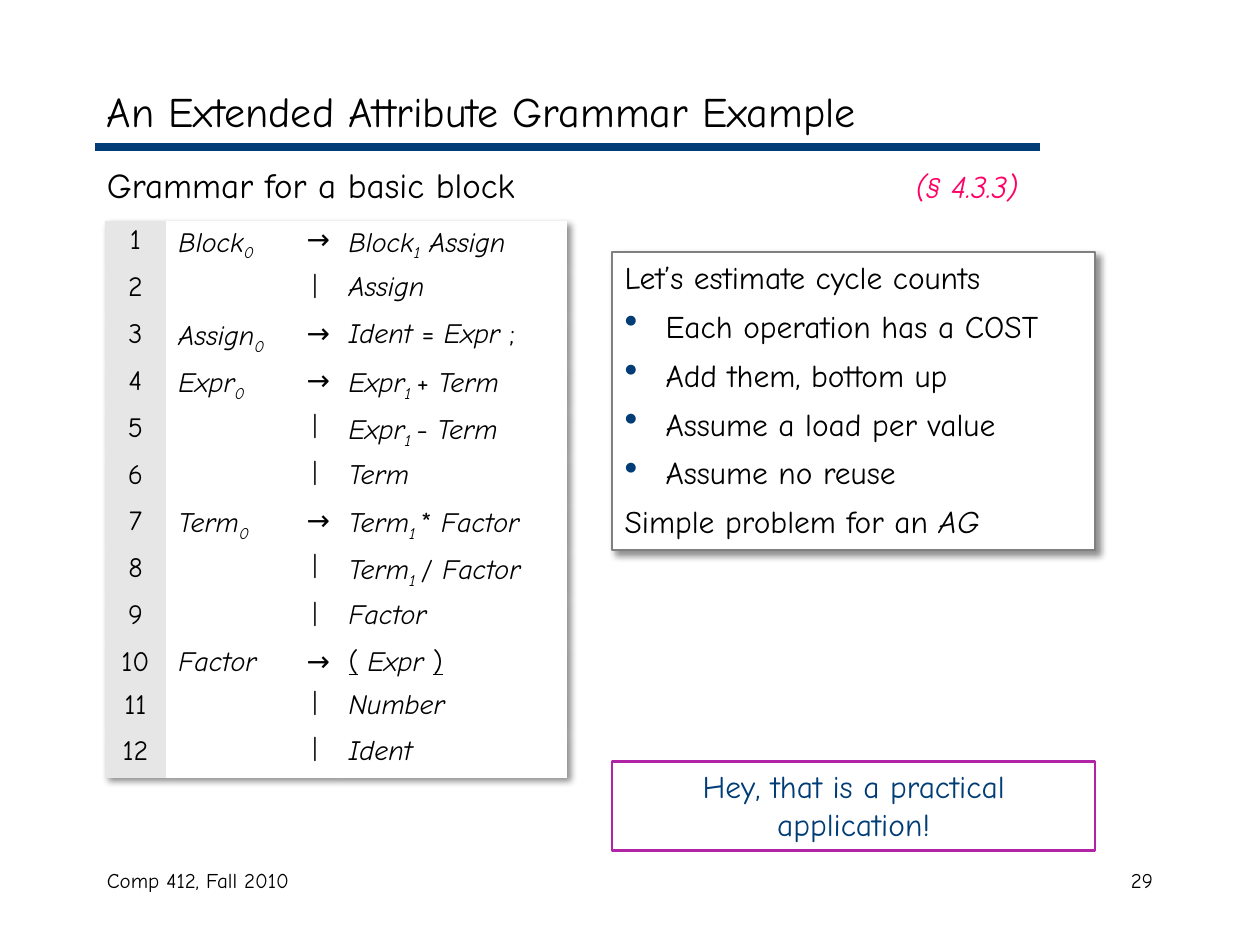
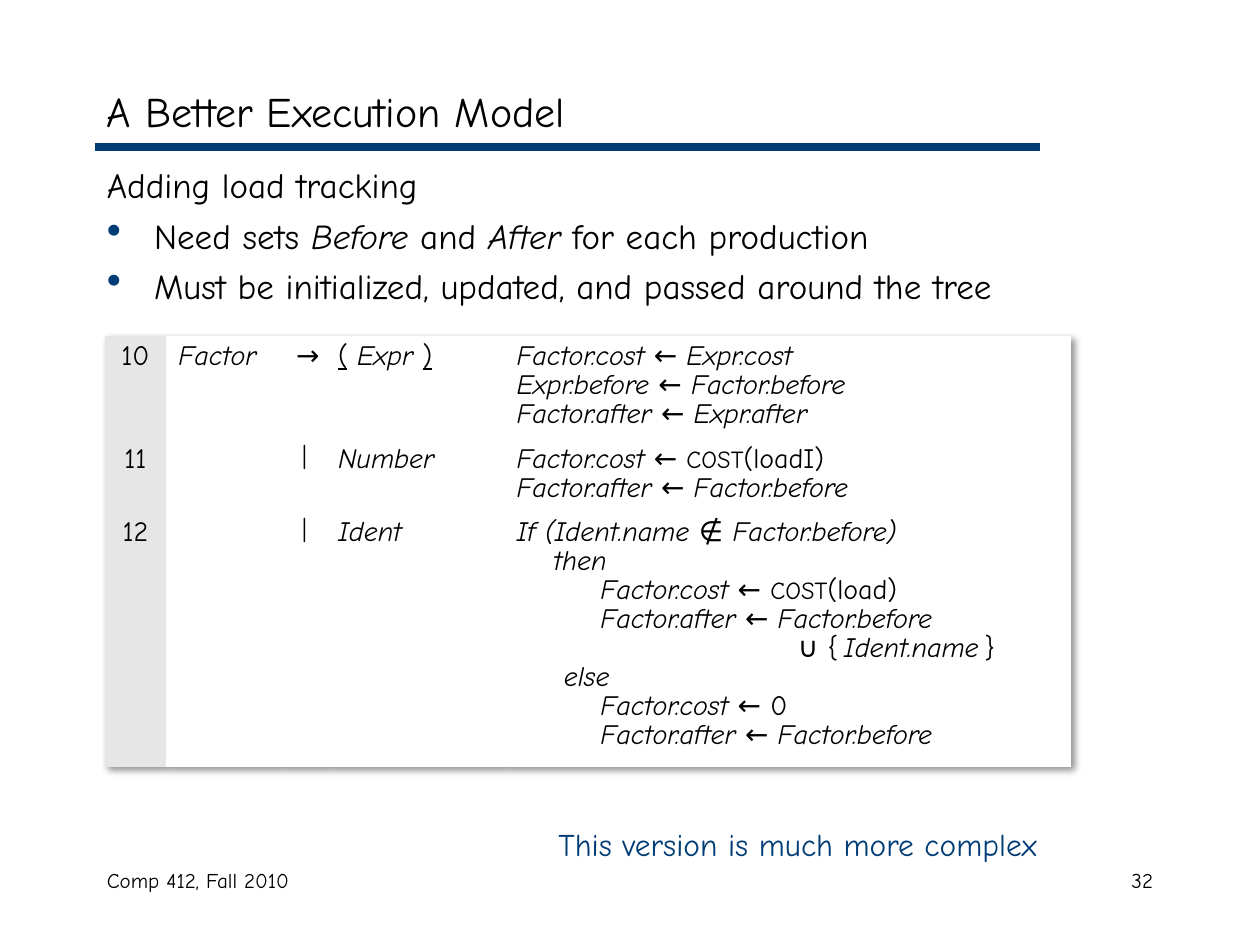
"""Build two slides on attribute grammars: the cost example and its load tracking."""
from lxml import etree
from pptx import Presentation
from pptx.dml.color import RGBColor as Rgb
from pptx.enum.shapes import MSO_CONNECTOR as Link, MSO_SHAPE as Form
from pptx.enum.text import MSO_ANCHOR as Anchor, PP_ALIGN as Align
from pptx.oxml import parse_xml
from pptx.oxml.ns import nsdecls, qn
from pptx.util import Inches, Pt

INK = Rgb(0x00, 0x00, 0x00)
NAVY = Rgb(0x00, 0x3C, 0x75)
PINK = Rgb(0xFF, 0x00, 0x65)
PLUM = Rgb(0xB0, 0x25, 0xA6)
GRAY = Rgb(0x80, 0x80, 0x80)
PALE = Rgb(0xE6, 0xE6, 0xE6)
WHITE = Rgb(0xFF, 0xFF, 0xFF)
FACE = "Comic Neue"
GRID = Inches(1) / 12
PLAIN = "{2D5ABB26-0587-4C30-8999-92F81FD0307C}"
LOOK = {
    "i": {"italic": True},
    "u": {"underline": True},
    "c": {"size": Pt(14)},
    "t": {"size": Pt(10)},
    "p": {"size": Pt(18), "italic": True},
}
SHADE = (
    f'<a:effectLst {nsdecls("a")}><a:outerShdw blurRad="50800" dist="38100" dir="2700000" '
    'algn="tl" rotWithShape="0"><a:srgbClr val="000000"><a:alpha val="43000"/></a:srgbClr>'
    "</a:outerShdw></a:effectLst>"
)
BULLET = (
    f'<a:buClr {nsdecls("a")}><a:srgbClr val="{NAVY}"/></a:buClr>',
    f'<a:buSzPct {nsdecls("a")} val="120000"/>',
    f'<a:buChar {nsdecls("a")} char="•"/>',
)
TAB = f'<a:tabLst {nsdecls("a")}><a:tab pos="{int(77 * GRID)}" algn="l"/></a:tabLst>'


def fill(frame, lines, size, tone=INK, hang=0, **form):
    """Write lines of "codes:text" runs parted by ~; a tuple adds an indent."""
    frame.word_wrap = True
    for num, line in enumerate(lines):
        dent, text = line if isinstance(line, tuple) else (0, line)
        par = frame.add_paragraph() if num else frame.paragraphs[0]
        props = par._p.get_or_add_pPr()
        if text.startswith("•"):
            text = text[1:]
            props.set("marL", str(int(hang * GRID)))
            props.set("indent", str(-int(hang * GRID)))
            for mark in BULLET:
                props.append(parse_xml(mark))
        elif dent:
            props.set("marL", str(int(dent * GRID)))
        if "\t" in text:
            props.append(parse_xml(TAB))
        for key, val in form.items():
            if num or key != "space_before":
                setattr(par, key, val)
        if not text:
            end = etree.SubElement(par._p, qn("a:endParaRPr"), sz=str(size * 100))
            etree.SubElement(end, qn("a:latin"), typeface=FACE)
            continue
        for piece in text.split("~"):
            codes, _, words = piece.rpartition(":")
            run = par.add_run()
            run.text = words
            look = {"name": FACE, "size": Pt(size)}
            for code in codes:
                look.update(LOOK.get(code, {}))
            for key, val in look.items():
                setattr(run.font, key, val)
            run.font.color.rgb = PINK if "p" in codes else tone
            if "s" in codes:
                run._r.get_or_add_rPr().set("baseline", "-25000")


def place(*spot):
    """Turn grid units into lengths."""
    return [int(unit * GRID) for unit in spot]


PAREN = "u:(~ ~i:Expr ~u:)"
AFTER = "i:Factor.after ~← ~i:Factor.before"
PAGES = [
    {
        "title": "An Extended Attribute Grammar Example",
        "num": "29",
        "body": ["Grammar for a basic block~p:\t(§ 4.3.3)"],
        "top": 21,
        "cols": [5.8, 12.2, 4, 22],
        "rows": [4.42] * 9 + [4.1] + [4.42] * 2,
        "first": 1,
        "rules": [
            ["i:Block~is:0", "i:Block~is:1~i: Assign"],
            ["", "i:Assign"],
            ["i:Assign~is:0", "i:Ident ~= ~i:Expr ~;"],
            ["i:Expr~is:0", "i:Expr~is:1 ~+ ~i:Term"],
            ["", "i:Expr~is:1 ~-~i: Term"],
            ["", "i:Term"],
            ["i:Term~is:0", "i:Term~is:1 ~* ~i:Factor"],
            ["", "i:Term~is:1 ~/ ~i:Factor"],
            ["", "i:Factor"],
            ["i:Factor", PAREN],
            ["", "i:Number"],
            ["", "i:Ident"],
        ],
        "boxes": [
            ((58.3, 24, 46, 28.4), GRAY, INK, Align.LEFT, [
                "Let’s estimate cycle counts",
                "•Each operation has a COST",
                "•Add them, bottom up",
                "•Assume a load per value",
                "•Assume no reuse",
                "Simple problem for an ~i:AG",
            ]),
            ((58.3, 72.5, 46, 8.5), PLUM, NAVY, Align.CENTER,
             ["Hey, that is a practical application!"]),
        ],
    },
    {
        "title": "A Better Execution Model",
        "num": "32",
        "body": [
            "Adding load tracking",
            "•Need sets ~i:Before~ and ~i:After ~for each production",
            "•Must be initialized, updated, and passed around the tree",
        ],
        "top": 32,
        "cols": [5.8, 11.2, 4, 17, 54],
        "rows": [9.4, 6.75, 23.1],
        "first": 10,
        "rules": [
            ["i:Factor", PAREN, [
                "i:Factor.cost ~← ~i:Expr.cost",
                "i:Expr.before ~← ~i:Factor.before",
                "i:Factor.after ~← ~i:Expr.after",
            ]],
            ["", "i:Number", ["i:Factor.cost ~← ~c:COST~(loadI)", AFTER]],
            ["", "i:Ident", [
                "i:If (Ident.name ~∉ ~i:Factor.before)",
                (3.5, "i:then"),
                (8, "i:Factor.cost ~← ~c:COST~(load)"),
                (8, AFTER),
                (26.8, "∪ {~it: ~i:Ident.name~it: ~}"),
                (4.5, "i:else"),
                (8, "i:Factor.cost ~← 0"),
                (8, AFTER),
            ]],
        ],
        "boxes": [
            ((52, 78, 53, 4.8), None, NAVY, Align.LEFT,
             ["This version is much more complex"]),
        ],
    },
]

deck = Presentation()
deck.slide_width, deck.slide_height = place(120, 90)

for page in PAGES:
    slide = deck.slides.add_slide(deck.slide_layouts[6])
    shapes = slide.shapes

    bar = shapes.add_connector(Link.STRAIGHT, *place(9, 14, 99, 14))
    bar.line.color.rgb = NAVY
    bar.line.width = Pt(4.5)
    etree.SubElement(bar._element.spPr, qn("a:effectLst"))

    for spot, lines, size, side in [
        ((9, 7, 102, 7), [page["title"]], 24, Align.LEFT),
        ((9, 15, 102, 65), page["body"], 20, Align.LEFT),
        ((9, 82, 38, 6), ["Comp 412, Fall 2010"], 12, Align.LEFT),
        ((86, 82, 25, 6), [page["num"]], 12, Align.RIGHT),
    ]:
        frame = shapes.add_textbox(*place(*spot)).text_frame
        frame.vertical_anchor = Anchor.MIDDLE if size == 24 else Anchor.TOP
        fill(frame, lines, size, hang=4.5, alignment=side, space_before=Pt(4.8))

    cols, rows = page["cols"], page["rows"]
    spot = place(10, page["top"], sum(cols), sum(rows))
    table = shapes.add_table(len(rows), len(cols), *spot).table
    table.first_row = table.horz_banding = False
    style = table._tbl.tblPr
    style[0].text = PLAIN
    style.insert(0, parse_xml(SHADE))
    for col, wide in zip(table.columns, place(*cols)):
        col.width = wide
    for row, high in zip(table.rows, place(*rows)):
        row.height = high
    for num, (left, right, *acts) in enumerate(page["rules"]):
        sign = "→" if left else "c:|"
        texts = [[str(page["first"] + num)], [left], [sign], [right], *acts]
        for at, lines in enumerate(texts):
            cell = table.cell(num, at)
            cell.fill.solid()
            cell.fill.fore_color.rgb = WHITE if at else PALE
            side = Align.CENTER if at in (0, 2) else Align.LEFT
            fill(cell.text_frame, lines, 16, alignment=side, line_spacing=0.9)

    for spot, edge, tone, side, lines in page["boxes"]:
        if edge:
            box = shapes.add_shape(Form.RECTANGLE, *place(*spot))
            box.line.color.rgb = edge
            box.line.width = Pt(1.5)
            box.shadow.inherit = False
            box.fill.background()
            if edge == GRAY:
                box.fill.solid()
                box.fill.fore_color.rgb = WHITE
                box._element.spPr.find(qn("a:effectLst")).append(parse_xml(SHADE)[0])
        else:
            box = shapes.add_textbox(*place(*spot))
        box.text_frame.vertical_anchor = Anchor.TOP
        fill(box.text_frame, lines, 18, tone, 3.9, alignment=side, space_before=Pt(6.3))

deck.save("out.pptx")
